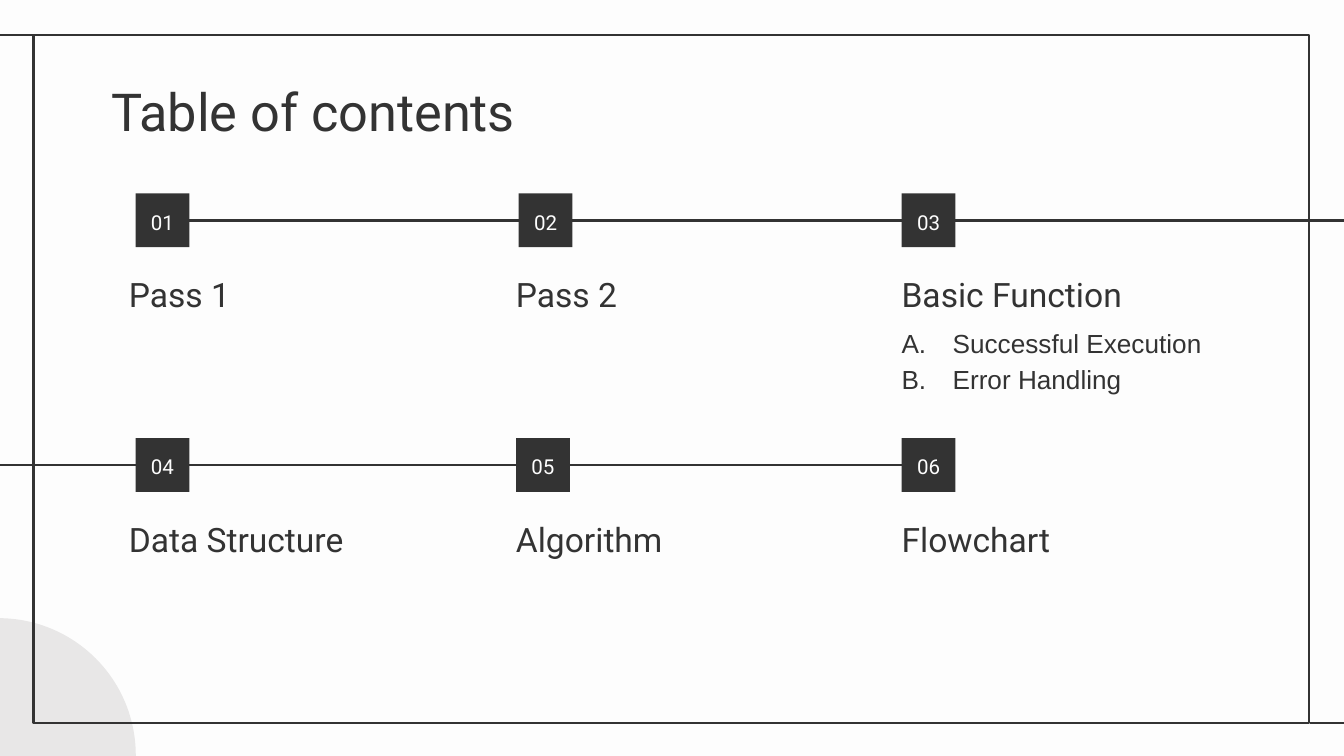
from lxml.etree import SubElement
from pptx import Presentation
from pptx.dml.color import RGBColor
from pptx.enum.shapes import MSO_CONNECTOR, MSO_SHAPE
from pptx.enum.text import MSO_ANCHOR, PP_ALIGN
from pptx.oxml.ns import qn
from pptx.util import Inches, Pt

DARK = RGBColor(0x33, 0x33, 0x33)
LIGHT = RGBColor(0xFD, 0xFD, 0xFD)
PALE_GRAY = RGBColor(0xE8, 0xE7, 0xE7)

FRAME_TOP = 0.26
FRAME_HEIGHT = 5.12
BADGE_SIZE = 0.4
ROW_TOPS = (1.44, 3.26)
HEADING_LEFTS = (0.86, 3.74, 6.61)
# Number, heading, badge left
ROWS = (
    (("01", "Pass 1", 1.01), ("02", "Pass 2", 3.86), ("03", "Basic Function", 6.71)),
    (("04", "Data Structure", 1.01), ("05", "Algorithm", 3.84), ("06", "Flowchart", 6.71)),
)


def add_plain_shape(slide, kind, left, top, width, height, fill=None):
    shape = slide.shapes.add_shape(
        kind, Inches(left), Inches(top), Inches(width), Inches(height))
    shape.shadow.inherit = False
    if fill is None:
        shape.fill.background()
        shape.line.color.rgb = DARK
        shape.line.width = Pt(1.5)
    else:
        shape.fill.solid()
        shape.fill.fore_color.rgb = fill
        shape.line.fill.background()
    return shape


def add_rule(slide, start_x, end_x, y):
    rule = slide.shapes.add_connector(
        MSO_CONNECTOR.STRAIGHT, Inches(start_x), Inches(y), Inches(end_x), Inches(y))
    rule.line.color.rgb = DARK
    rule.line.width = Pt(1.5)
    SubElement(rule._element.spPr, qn("a:effectLst"))
    return rule


def write_text(shape, lines, size, color=DARK, font="Roboto",
               anchor=MSO_ANCHOR.TOP, align=PP_ALIGN.LEFT, spacing=1.15):
    frame = shape.text_frame
    frame.word_wrap = True
    frame.vertical_anchor = anchor
    frame.margin_left = frame.margin_right = Inches(0.1)
    frame.margin_top = frame.margin_bottom = Inches(0.1)
    frame.text = "\n".join(lines)
    for paragraph in frame.paragraphs:
        paragraph.alignment = align
        paragraph.line_spacing = spacing
        paragraph.font.size = Pt(size)
        paragraph.font.name = font
        paragraph.font.color.rgb = color


def add_text(slide, lines, left, top, width, height, size, **style):
    box = slide.shapes.add_textbox(
        Inches(left), Inches(top), Inches(width), Inches(height))
    write_text(box, lines, size, **style)
    return box


def add_badge(slide, number, left, top):
    badge = add_plain_shape(
        slide, MSO_SHAPE.RECTANGLE, left, top, BADGE_SIZE, BADGE_SIZE, DARK)
    write_text(badge, [number], 11, color=LIGHT,
               anchor=MSO_ANCHOR.MIDDLE, align=PP_ALIGN.CENTER)
    return badge


def letter_paragraphs(box):
    for paragraph in box.text_frame.paragraphs:
        properties = paragraph._p.get_or_add_pPr()
        properties.set("marL", str(Inches(0.38)))
        properties.set("indent", str(Inches(-0.38)))
        SubElement(properties, qn("a:buFont"), typeface="Arial")
        numbering = SubElement(properties, qn("a:buAutoNum"), type="alphaUcPeriod")
        # Bullets come before the default run properties
        defaults = properties.find(qn("a:defRPr"))
        if defaults is not None:
            numbering.addnext(defaults)


def main():
    presentation = Presentation()
    presentation.slide_width = Inches(10)
    presentation.slide_height = Inches(10) * 9 // 16
    slide = presentation.slides.add_slide(presentation.slide_layouts[6])
    slide.background.fill.solid()
    slide.background.fill.fore_color.rgb = LIGHT

    # Corner circle and frame
    add_plain_shape(slide, MSO_SHAPE.OVAL, -1.03, 4.6, 2.04, 2.04, PALE_GRAY)
    add_plain_shape(slide, MSO_SHAPE.RECTANGLE, 0.25, FRAME_TOP, 9.49, FRAME_HEIGHT)
    add_rule(slide, 0.26, -0.02, FRAME_TOP)
    add_rule(slide, 10.03, 9.75, FRAME_TOP + FRAME_HEIGHT)

    # Timelines, behind the badges
    lower_timeline = add_rule(slide, 6.71, -0.18, 3.46)
    upper_timeline = add_rule(slide, 1.41, 10.17, 1.64)

    add_text(slide, ["Table of contents"], 0.73, 0.49, 8.43, 0.63, 28, spacing=1.0)

    # Numbered sections
    badges = {}
    for top, row in zip(ROW_TOPS, ROWS):
        for heading_left, (number, heading, badge_left) in zip(HEADING_LEFTS, row):
            badges[number] = add_badge(slide, number, badge_left, top)
            add_text(slide, [heading], heading_left, top + 0.58, 2.52, 0.42, 18,
                     anchor=MSO_ANCHOR.BOTTOM)
    upper_timeline.begin_connect(badges["01"], 3)
    lower_timeline.begin_connect(badges["06"], 1)

    # Parts of the third section
    parts = add_text(slide, ["Successful Execution", "Error Handling"],
                     HEADING_LEFTS[2], 2.3, 2.52, 0.63, 14, font="Arial")
    letter_paragraphs(parts)

    presentation.save("out.pptx")


if __name__ == "__main__":
    main()
